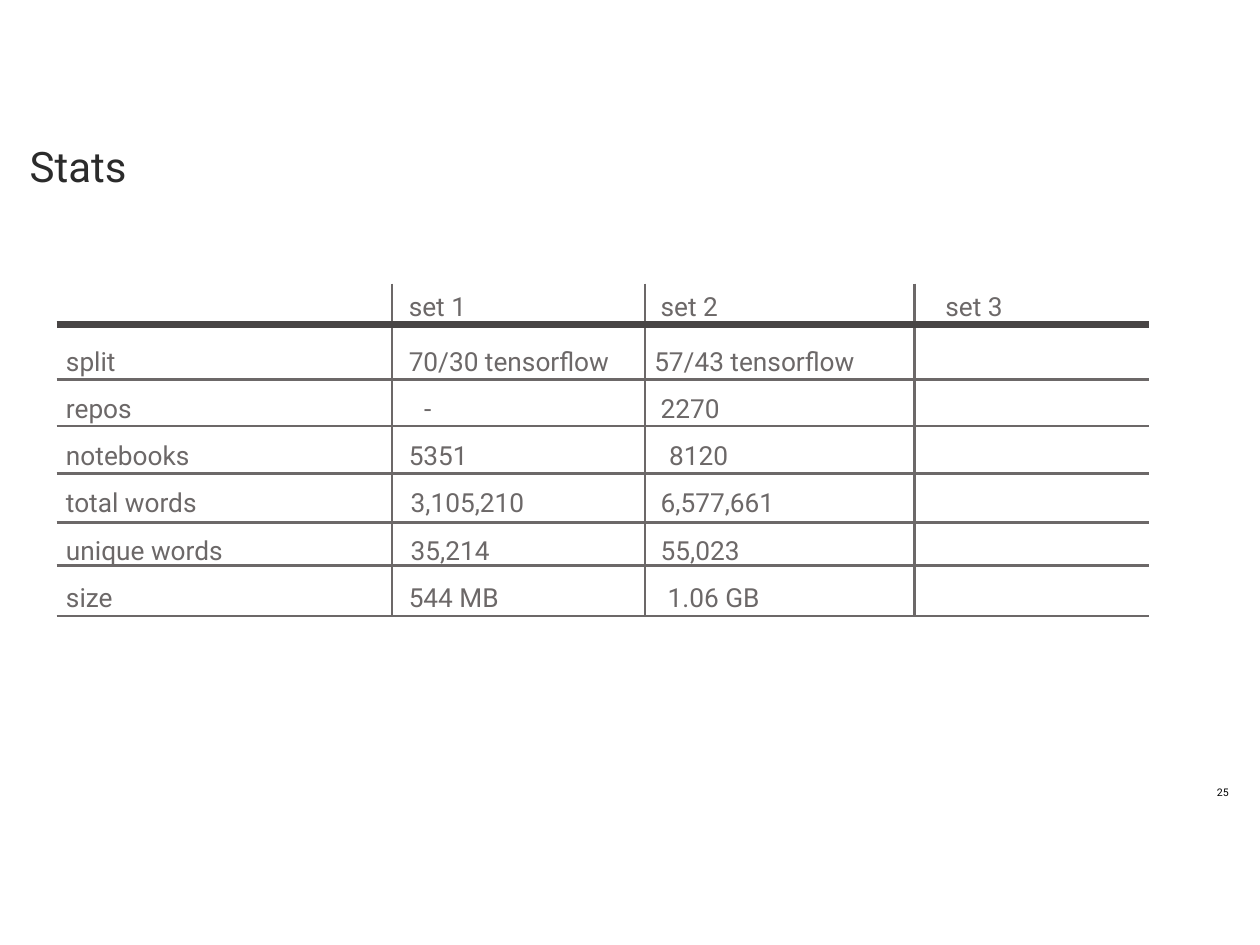
from dataclasses import dataclass

from lxml import etree
from pptx import Presentation
from pptx import util as u
from pptx.dml.color import RGBColor
from pptx.enum import shapes, text
from pptx.oxml.ns import qn


@dataclass(frozen=True)
class Theme:
    font: str = "Roboto"
    title: str = "2B2B2B"
    body: str = "6C6868"
    heavy: str = "484545"
    number: str = "000000"
    title_pt: float = 24
    body_pt: float = 15
    number_pt: float = 6
    rule_pt: float = 1.5
    heavy_pt: float = 4


THEME = Theme()

ROWS = [
    ("", "set 1", "set 2", "set 3"),
    ("split", "70/30 tensorflow", "57/43 tensorflow", ""),
    ("repos", "-", "2270", ""),
    ("notebooks", "5351", "8120", ""),
    ("total words", "3,105,210", "6,577,661", ""),
    ("unique words", "35,214", "55,023", ""),
    ("size", "544 MB", "1.06 GB", ""),
]
# Table geometry and text indents in centimetres
LEFT, TOP, RIGHT, BOTTOM = 1.14, 5.72, 23.16, 12.42
DIVIDERS = (7.9, 13.0, 18.44)
HEADER_RULE = 6.55
ROW_RULES = (7.65, 8.59, 9.55, 10.54, 11.4, BOTTOM)
ROW_HEIGHTS = (0.84, 1.11) + (0.95,) * 5
INDENTS = (0.19, 0.34, 0.32, 0.62)
SPECIAL_INDENTS = {(1, 2): 0.19, (2, 1): 0.65, (3, 2): 0.49,
                   (4, 1): 0.38, (5, 1): 0.38, (6, 2): 0.46}


def write(tf, content, *, size, color, align=text.PP_ALIGN.LEFT, spacing=1.0):
    """Write one formatted paragraph into a text frame."""
    p = tf.paragraphs[0]
    p.alignment = align
    p.line_spacing = spacing
    if content:
        r = p.add_run()
        r.text = content
        r.font.name = THEME.font
        r.font.size = u.Pt(size)
        r.font.color.rgb = RGBColor.from_string(color)


def add_label(s, content, box, anchor=text.MSO_ANCHOR.TOP, **fmt):
    sp = s.shapes.add_textbox(*(u.Cm(v) for v in box))
    tf = sp.text_frame
    tf.word_wrap = True
    tf.vertical_anchor = anchor
    tf.margin_left = tf.margin_right = tf.margin_top = tf.margin_bottom = 0
    write(tf, content, **fmt)


def add_rule(s, x1, y1, x2, y2, width=THEME.rule_pt, color=THEME.body):
    sp = s.shapes.add_connector(shapes.MSO_CONNECTOR.STRAIGHT,
                                u.Cm(x1), u.Cm(y1), u.Cm(x2), u.Cm(y2))
    sp.line.width = u.Pt(width)
    sp.line.color.rgb = RGBColor.from_string(color)
    etree.SubElement(sp._element.spPr, qn("a:effectLst"))


def add_cell(cell, content, row, col):
    for side in "LRTB":
        ln = etree.SubElement(cell._tc.get_or_add_tcPr(), qn(f"a:ln{side}"), w="0")
        etree.SubElement(ln, qn("a:noFill"))
    cell.fill.background()
    cell.vertical_anchor = text.MSO_ANCHOR.BOTTOM
    cell.margin_left = u.Cm(SPECIAL_INDENTS.get((row, col), INDENTS[col]))
    cell.margin_right = cell.margin_top = 0
    cell.margin_bottom = u.Cm(0.05)
    write(cell.text_frame, content, size=THEME.body_pt, color=THEME.body)


def add_stats_table(s):
    edges = (LEFT, *DIVIDERS, RIGHT)
    frame = s.shapes.add_table(len(ROWS), len(edges) - 1, u.Cm(LEFT), u.Cm(TOP),
                               u.Cm(RIGHT - LEFT), u.Cm(sum(ROW_HEIGHTS)))
    table = frame.table
    table.horz_banding = False
    table.first_row = False
    for column, start, end in zip(table.columns, edges, edges[1:]):
        column.width = u.Cm(end - start)
    for row, (values, height) in enumerate(zip(ROWS, ROW_HEIGHTS)):
        table.rows[row].height = u.Cm(height)
        for col, value in enumerate(values):
            add_cell(table.cell(row, col), value, row, col)


def add_table_rules(s):
    for x in DIVIDERS:
        add_rule(s, x, TOP, x, BOTTOM)
    for y in ROW_RULES:
        add_rule(s, LEFT, y, RIGHT, y)
    add_rule(s, LEFT, HEADER_RULE, RIGHT, HEADER_RULE,
             THEME.heavy_pt, THEME.heavy)


def main():
    prs = Presentation()
    prs.slide_width, prs.slide_height = u.Cm(25.4), u.Cm(19.05)
    s = prs.slides.add_slide(prs.slide_layouts[6])

    # Title
    add_label(s, "Stats", (0.6, 2.95, 20.29, 3.07),
              size=THEME.title_pt, color=THEME.title, spacing=0.9)
    # Page number
    add_label(s, "25", (19.05, 15.78, 5.72, 0.38), text.MSO_ANCHOR.MIDDLE,
              size=THEME.number_pt, color=THEME.number,
              align=text.PP_ALIGN.RIGHT)
    # Data set statistics and their rules
    add_stats_table(s)
    add_table_rules(s)

    prs.save("out.pptx")


if __name__ == "__main__":
    main()
